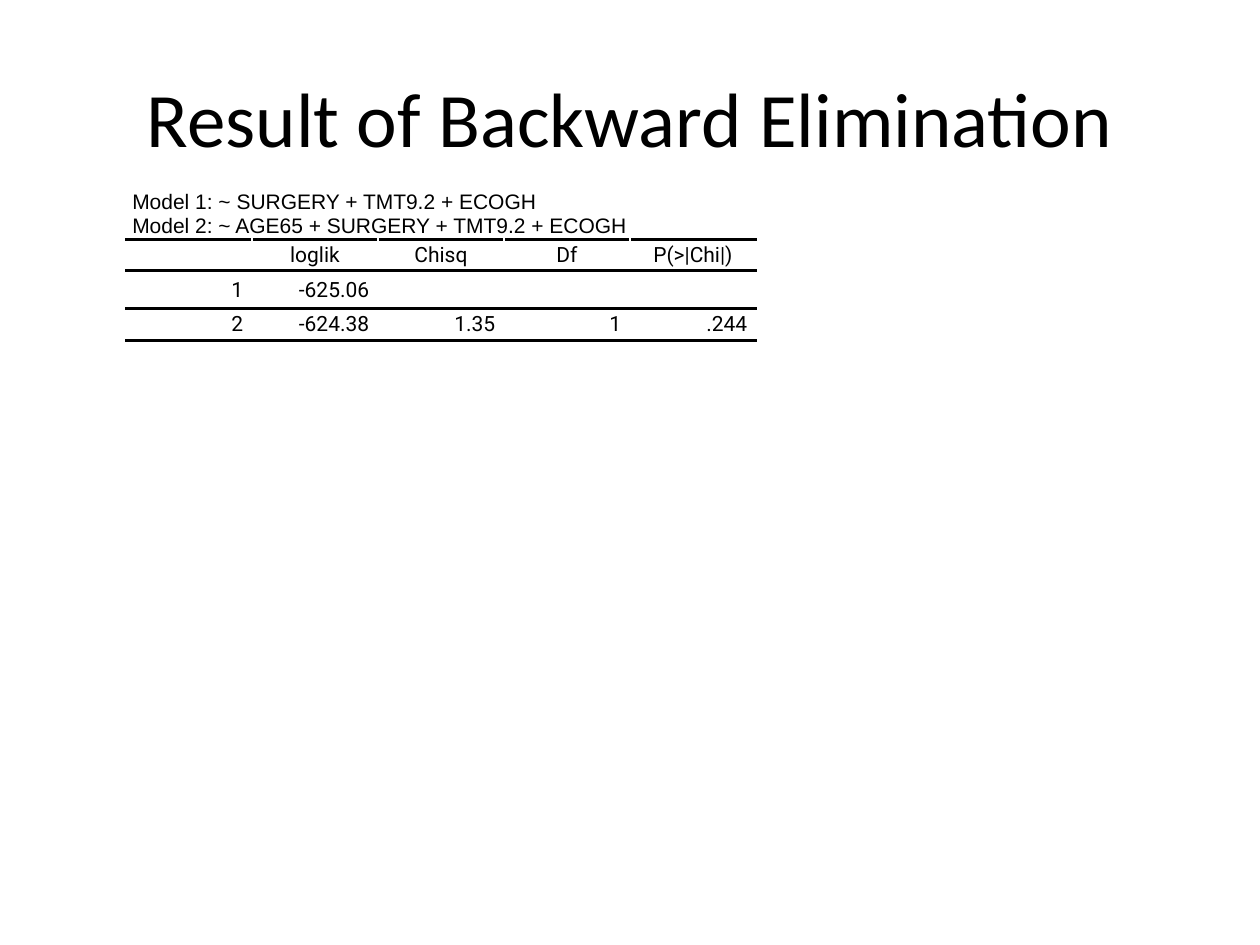
from lxml import etree
from pptx import Presentation
from pptx.dml.color import RGBColor
from pptx.enum.text import MSO_ANCHOR, PP_ALIGN
from pptx.oxml.ns import qn
from pptx.util import Inches, Pt

BLACK = RGBColor(0, 0, 0)
LEFT, CENTER, RIGHT = PP_ALIGN.LEFT, PP_ALIGN.CENTER, PP_ALIGN.RIGHT
MIDDLE = MSO_ANCHOR.MIDDLE

MODELS = ["Model 1: ~ SURGERY + TMT9.2 + ECOGH",
          "Model 2: ~ AGE65 + SURGERY + TMT9.2 + ECOGH"]
ROWS = [
    ["", "loglik", "Chisq", "Df", "P(>|Chi|)"],
    ["1", "-625.06", "", "", ""],
    ["2", "-624.38", "1.35", "1", ".244"],
]
ROW_HEIGHTS = [0.38, 0.25, 0.3, 0.25]
RULED_EDGES = [("lnB",), ("lnT", "lnB"), ("lnT",), ("lnB",)]


def write_text(tf, *lines, font="Roboto", size=12, align=LEFT, space=0):
    p = tf.paragraphs[0]
    p.alignment = align
    p.space_before = p.space_after = Pt(space)
    for i, line in enumerate(lines):
        if i:
            p.add_line_break()
        r = p.add_run()
        r.text = line
        r.font.name = font
        r.font.size = Pt(size)
        r.font.color.rgb = BLACK


def add_title(s, text):
    sp = s.shapes.add_textbox(Inches(0.5), Inches(0.3), Inches(9), Inches(1.25))
    tf = sp.text_frame
    tf.word_wrap = True
    tf.vertical_anchor = MIDDLE
    write_text(tf, text, font="Calibri", size=44, align=CENTER)


def rule_cell(cell, edges):
    tc_pr = cell._tc.get_or_add_tcPr()
    for i, edge in enumerate(edges):
        ln = etree.Element(qn(f"a:{edge}"), w=str(Pt(2)))
        fill = etree.SubElement(ln, qn("a:solidFill"))
        etree.SubElement(fill, qn("a:srgbClr"), val=str(BLACK))
        tc_pr.insert(i, ln)


def format_cell(cell, edges, inset):
    cell.margin_top = cell.margin_bottom = 0
    cell.margin_left = cell.margin_right = Inches(inset)
    cell.vertical_anchor = MIDDLE
    cell.fill.background()
    rule_cell(cell, edges)


def write_cell(cell, text, align):
    if text:
        write_text(cell.text_frame, text, align=align, space=2)
    else:
        end = etree.SubElement(cell.text_frame.paragraphs[0]._p, qn("a:endParaRPr"))
        end.set("sz", str(12 * 100))


def add_results(s):
    frame = s.shapes.add_table(len(ROW_HEIGHTS), len(ROWS[0]), Inches(1), Inches(1.5),
                               Inches(5), Inches(sum(ROW_HEIGHTS)))
    table = frame.table
    table.first_row = table.horz_banding = False
    for i, (height, edges) in enumerate(zip(ROW_HEIGHTS, RULED_EDGES)):
        table.rows[i].height = Inches(height)
        for cell in table.rows[i].cells:
            format_cell(cell, edges, 0.07 if i else 0.05)
    caption = table.cell(0, 0)
    caption.merge(table.cell(0, len(ROWS[0]) - 1))
    write_text(caption.text_frame, *MODELS, font="Arial")
    for i, row in enumerate(ROWS, start=1):
        for j, text in enumerate(row):
            write_cell(table.cell(i, j), text, CENTER if i == 1 else RIGHT)


def main():
    prs = Presentation()
    prs.slide_width, prs.slide_height = Inches(10), Inches(7.5)
    s = prs.slides.add_slide(prs.slide_layouts[6])
    add_title(s, "Result of Backward Elimination")
    add_results(s)
    prs.save("out.pptx")


if __name__ == "__main__":
    main()
